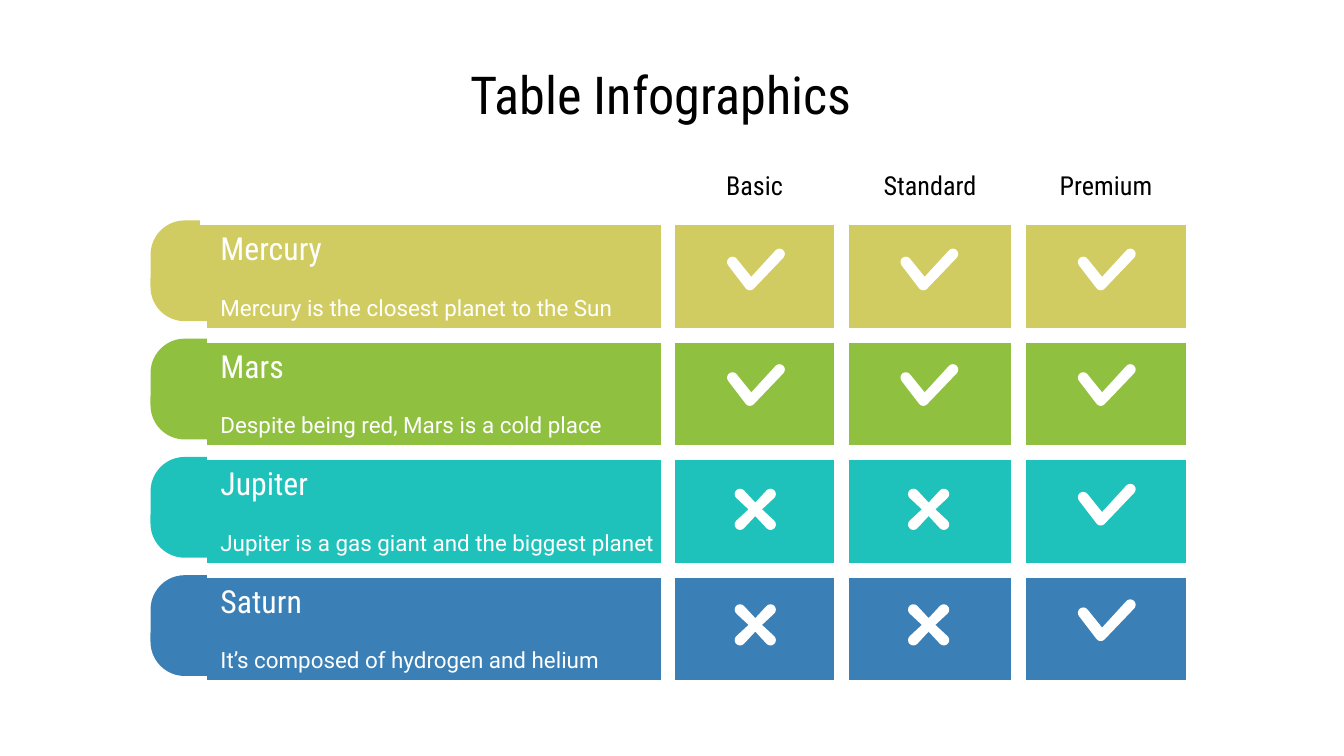
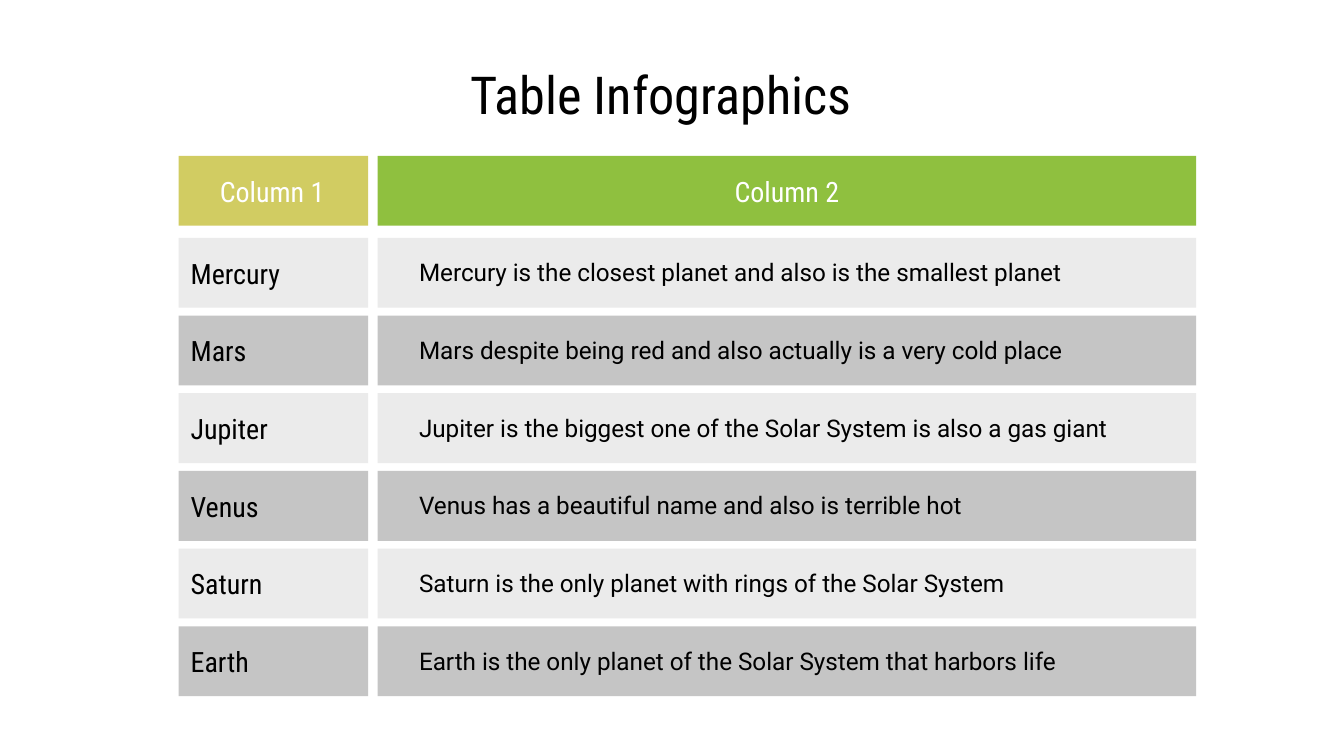
"""Build two table infographic slides."""
from dataclasses import dataclass
from math import cos, radians, sin
from typing import NamedTuple

from lxml import etree
from pptx import Presentation
from pptx.dml.color import RGBColor
from pptx.enum.shapes import MSO_SHAPE
from pptx.enum.text import MSO_ANCHOR, MSO_AUTO_SIZE, PP_ALIGN
from pptx.oxml.ns import qn
from pptx.util import Inches, Pt

RECT, ROUND = MSO_SHAPE.RECTANGLE, MSO_SHAPE.ROUNDED_RECTANGLE
LEFT, MID = PP_ALIGN.LEFT, PP_ALIGN.CENTER
CENTER, TOP = MSO_ANCHOR.MIDDLE, MSO_ANCHOR.TOP
FIXED = MSO_AUTO_SIZE.NONE

BLACK, WHITE = "000000", "FFFFFF"
SAND, GREEN, TEAL, BLUE = "D1CC62", "8FC03F", "1FC2BA", "3A80B6"
PALE, GREY = "EBEBEB", "C5C5C5"
SLIM, BODY = "Roboto Condensed", "Roboto"
PAD = Inches(0.1)
WIDE = Inches(10)
TALL = WIDE * 9 // 16


class Face(NamedTuple):
    """Font, size, colour and alignment of a text."""
    font: str
    size: int
    hue: str
    align: PP_ALIGN = LEFT


class Box(NamedTuple):
    """A rectangle in inches."""
    x: float
    y: float
    w: float
    h: float

    def emu(self) -> list:
        """Return the four lengths for python-pptx."""
        return [Inches(v) for v in self]


class Bend(NamedTuple):
    """An arc of an outline, with angles in degrees; zero radius is a corner."""
    x: float
    y: float
    start: float = 0
    end: float = 0
    rad: float = 0


@dataclass
class Plan:
    """One planet of the plan table; marks holds v for tick and x for cross."""
    name: str
    note: str
    hue: str
    marks: str
    top: float


@dataclass
class Fact:
    """One planet of the fact list."""
    name: str
    note: str


HEAD = Face(SLIM, 28, BLACK)
PLANS = [
    Plan("Mercury", "Mercury is the closest planet to the Sun", SAND, "vvv", 1.85),
    Plan("Mars", "Despite being red, Mars is a cold place", GREEN, "vvv", 2.71),
    Plan("Jupiter", "Jupiter is a gas giant and the biggest planet", TEAL, "xxv", 3.6),
    Plan("Saturn", "It’s composed of hydrogen and helium", BLUE, "xxv", 4.46),
]
FACTS = [
    Fact("Mercury", "Mercury is the closest planet and also is the smallest planet"),
    Fact("Mars", "Mars despite being red and also actually is a very cold place"),
    Fact("Jupiter", "Jupiter is the biggest one of the Solar System is also a gas giant"),
    Fact("Venus", "Venus has a beautiful name and also is terrible hot"),
    Fact("Saturn", "Saturn is the only planet with rings of the Solar System"),
    Fact("Earth", "Earth is the only planet of the Solar System that harbors life"),
]
TIERS = ["Basic", "Standard", "Premium"]
WIDTHS = [3.43, 1.29, 1.32, 1.3]
TALLS = [0.47] + [0.47, 0.39] * len(PLANS)
MARK_X = [5.41, 6.7, 8.02]

TICK = [
    Bend(0.04, 0.1, 143, 323, 0.04),
    Bend(0.18, 0.21),
    Bend(0.39, 0.04, 224, 404, 0.04),
    Bend(0.17, 0.27, 44, 143, 0.04),
]


def cross() -> list[Bend]:
    """Return the outline of a cross with four round arms."""
    bends = []
    for turn in range(225, 585, 90):
        arm, nook = radians(turn), radians(turn + 45)
        bends.append(Bend(0.21 + 0.16 * cos(arm), 0.19 + 0.16 * sin(arm),
                          turn - 90, turn + 90, 0.04))
        bends.append(Bend(0.21 + 0.05 * cos(nook), 0.19 + 0.05 * sin(nook)))
    return bends


MARKS = {"v": TICK, "x": cross()}


def tint(hue: str) -> RGBColor:
    """Turn a hex string into a colour."""
    return RGBColor.from_string(hue)


def paint(shape, hue: str) -> None:
    """Fill a shape flat, with no line or shadow."""
    shape.shadow.inherit = False
    shape.fill.solid()
    shape.fill.fore_color.rgb = tint(hue)
    shape.line.fill.background()


def write(frame, text: str, face: Face) -> None:
    """Put one formatted paragraph in a text frame."""
    para = frame.paragraphs[0]
    para.text = text
    para.alignment = face.align
    para.font.name = face.font
    para.font.size = Pt(face.size)
    para.font.bold = False
    para.font.color.rgb = tint(face.hue)


def fit(frame) -> None:
    """Wrap a frame, centre it upright and set its insets."""
    frame.word_wrap = True
    frame.auto_size = FIXED
    frame.vertical_anchor = CENTER
    frame.margin_left = frame.margin_right = PAD
    frame.margin_top = frame.margin_bottom = PAD


def block(shapes, kind: MSO_SHAPE, box: Box, hue: str):
    """Draw a flat preset shape."""
    shape = shapes.add_shape(kind, *box.emu())
    paint(shape, hue)
    return shape


def label(shapes, box: Box, text: str, face: Face) -> None:
    """Draw a text box."""
    frame = shapes.add_textbox(*box.emu()).text_frame
    fit(frame)
    write(frame, text, face)


def start(deck):
    """Add a slide with the shared title."""
    slide = deck.slides.add_slide(deck.slide_layouts[5])
    title = slide.shapes.title
    title.left, title.top, title.width, title.height = Box(3.4, 0.45, 3.21, 0.49).emu()
    fit(title.text_frame)
    write(title.text_frame, "Table Infographics", HEAD)
    return slide


def edge(cell, sides: str) -> None:
    """Give the named sides (L, R, T, B) a thick white border, the rest none."""
    props = cell._tc.get_or_add_tcPr()
    for spot, side in enumerate("LRTB"):
        line = etree.Element(qn(f"a:ln{side}"), w=str(Pt(9)))
        if side in sides:
            fill = etree.SubElement(line, qn("a:solidFill"))
            etree.SubElement(fill, qn("a:srgbClr"), val=WHITE)
        else:
            etree.SubElement(line, qn("a:noFill"))
        props.insert(spot, line)


def fill_cell(cell, text: str, face: Face, sides: str, hue: str = "") -> None:
    """Write, fill and border one table cell."""
    cell.margin_left = cell.margin_right = PAD
    cell.margin_top = cell.margin_bottom = PAD
    cell.vertical_anchor = TOP if hue else CENTER
    write(cell.text_frame, text, face)
    if hue:
        cell.fill.solid()
        cell.fill.fore_color.rgb = tint(hue)
    else:
        cell.fill.background()
    edge(cell, sides)


def grid(shapes) -> None:
    """Draw the plan table."""
    box = Box(1.54, 1.15, sum(WIDTHS), sum(TALLS))
    table = shapes.add_table(len(TALLS), len(WIDTHS), *box.emu()).table
    table.first_row = table.horz_banding = False
    for col, wide in zip(table.columns, WIDTHS):
        col.width = Inches(wide)
    for row, tall in zip(table.rows, TALLS):
        row.height = Inches(tall)
    tier = Face(SLIM, 14, BLACK, MID)
    name, note = Face(SLIM, 17, WHITE), Face(BODY, 12, WHITE)
    for col, text in enumerate(["", *TIERS]):
        fill_cell(table.cell(0, col), text, tier, "LRTB")
    for i, plan in enumerate(PLANS):
        row = 2 * i + 1
        fill_cell(table.cell(row, 0), plan.name, name, "RT", plan.hue)
        fill_cell(table.cell(row + 1, 0), plan.note, note, "RB", plan.hue)
        for col in range(1, len(WIDTHS)):
            for part in (row, row + 1):
                fill_cell(table.cell(part, col), "", note, "LRTB", plan.hue)
            table.cell(row, col).merge(table.cell(row + 1, col))


def stamp(shapes, x: float, y: float, bends: list[Bend]) -> None:
    """Draw a white mark from its outline."""
    spots = []
    for bend in bends:
        steps = 8 if bend.rad else 0
        for k in range(steps + 1):
            turn = radians(bend.start + (bend.end - bend.start) * k / max(steps, 1))
            spots.append((Inches(x + bend.x + bend.rad * cos(turn)),
                          Inches(y + bend.y + bend.rad * sin(turn))))
    pen = shapes.build_freeform(*spots[0])
    pen.add_line_segments(spots[1:], close=True)
    paint(pen.convert_to_shape(), WHITE)


def plan_slide(deck) -> None:
    """Build the slide that compares three plans."""
    shapes = start(deck).shapes
    for i, plan in enumerate(PLANS):
        tab = block(shapes, ROUND, Box(1.12, 1.64 + 0.88 * i, 1.52, 0.75), plan.hue)
        tab.adjustments[0] = 0.34
    grid(shapes)
    for plan in PLANS:
        for x, mark in zip(MARK_X, plan.marks):
            stamp(shapes, x, plan.top, MARKS[mark])


def pair(slide, y: float, hues: tuple[str, str]):
    """Draw the two bars of a row in a group and return its shapes."""
    shapes = slide.shapes.add_group_shape().shapes
    block(shapes, RECT, Box(1.33, y, 1.41, 0.52), hues[0])
    block(shapes, RECT, Box(2.81, y, 6.09, 0.52), hues[1])
    return shapes


def fact_slide(deck) -> None:
    """Build the slide that lists one fact per planet."""
    slide = start(deck)
    head = Face(SLIM, 15, WHITE, MID)
    name, note = Face(SLIM, 15, BLACK), Face(BODY, 13, BLACK)
    shapes = pair(slide, 1.16, (SAND, GREEN))
    for x, text in ((1.32, "Column 1"), (5.15, "Column 2")):
        label(shapes, Box(x, 1.16, 1.41, 0.52), text, head)
    first, last = 1.77, 4.66
    step = (last - first) / (len(FACTS) - 1)
    for i, fact in enumerate(FACTS):
        y = first + step * i
        hue = GREY if i % 2 else PALE
        shapes = pair(slide, y, (hue, hue))
        label(shapes, Box(1.32, y, 1.41, 0.52), fact.name, name)
        label(shapes, Box(3.02, y + 0.06, 5.67, 0.39), fact.note, note)


def main() -> None:
    """Build and save the deck."""
    deck = Presentation()
    deck.slide_width, deck.slide_height = WIDE, TALL
    plan_slide(deck)
    fact_slide(deck)
    deck.save("out.pptx")


if __name__ == "__main__":
    main()
